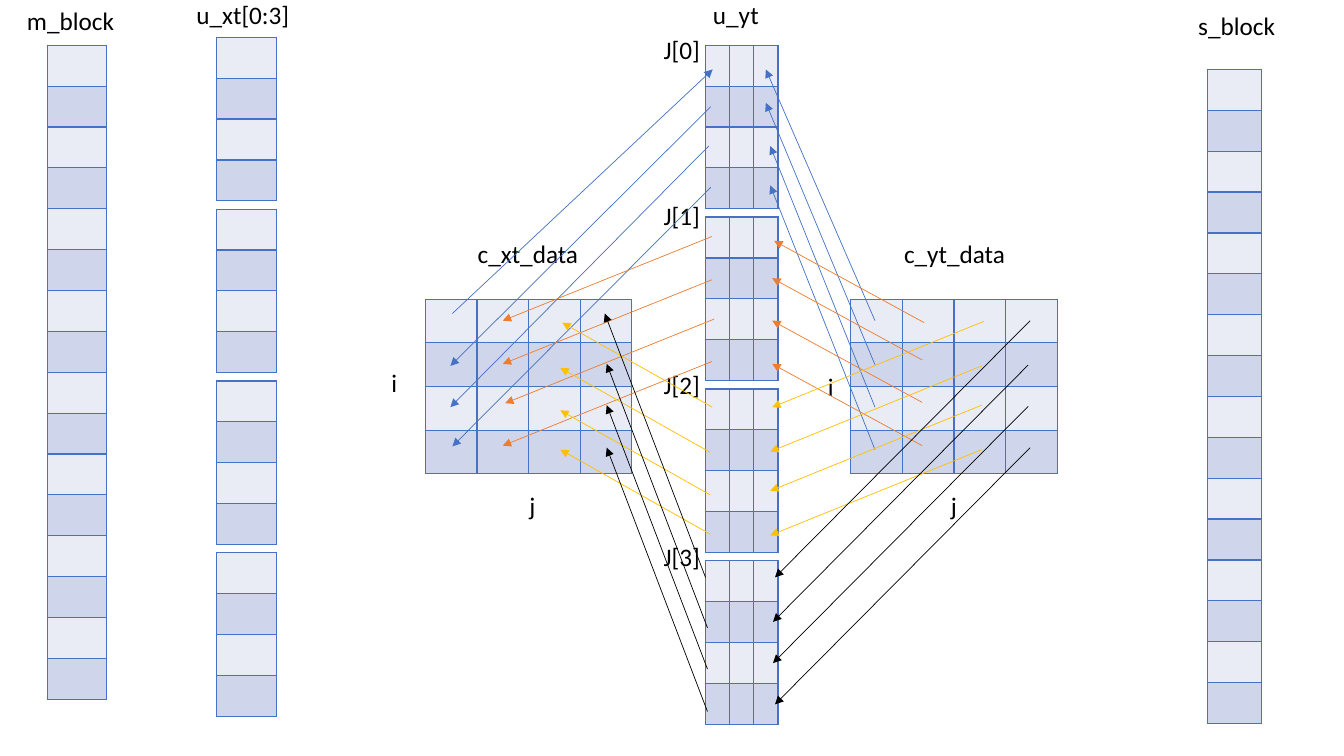
from lxml.etree import SubElement
from pptx import Presentation
from pptx.dml.color import RGBColor
from pptx.enum.shapes import MSO_CONNECTOR
from pptx.enum.text import MSO_AUTO_SIZE, PP_ALIGN
from pptx.oxml import parse_xml
from pptx.oxml.ns import nsdecls, qn
from pptx.util import Cm, Pt

BLUE, ORANGE, YELLOW, BLACK = "4472C4", "ED7D31", "FFC000", "000000"


def colour(value):
    return RGBColor.from_string(value)


def write(frame, text, size=18, font="Calibri", fill=BLACK, align=PP_ALIGN.CENTER):
    para = frame.paragraphs[0]
    para.alignment = align
    span = para.add_run()
    span.text = text
    span.font.size = Pt(size)
    span.font.name = font
    span.font.color.rgb = colour(fill)


def shifted(points, right, down):
    return [(x + right, y + down) for x, y in points]


class Diagram:
    bands = ("E9EBF5", "CFD5EA")
    border = BLUE

    def __init__(self, page):
        self.page = page

    def grid(self, left, top, rows, columns, width, height=1.03):
        """Add a banded table; width and height are those of one cell."""
        frame = self.page.shapes.add_table(
            rows, columns, Cm(left), Cm(top), Cm(width * columns), Cm(height * rows))
        table = frame.table
        table.first_row = table.horz_banding = False
        for column in table.columns:
            column.width = Cm(width)
        for index, row in enumerate(table.rows):
            row.height = Cm(height)
            for cell in row.cells:
                cell.fill.solid()
                cell.fill.fore_color.rgb = colour(self.bands[index % 2])
                self.outline(cell)

    def outline(self, cell):
        properties = cell._tc.get_or_add_tcPr()
        for position, side in enumerate("LRTB"):
            properties.insert(position, parse_xml(
                f'<a:ln{side} {nsdecls("a")} w="{Pt(1)}"><a:solidFill>'
                f'<a:srgbClr val="{self.border}"/></a:solidFill></a:ln{side}>'))

    def label(self, text, left, top, width=3.81, **style):
        box = self.page.shapes.add_textbox(Cm(left), Cm(top), Cm(width), Cm(1.03))
        box.text_frame.word_wrap = True
        box.text_frame.auto_size = MSO_AUTO_SIZE.SHAPE_TO_FIT_TEXT
        write(box.text_frame, text, **style)

    def arrow(self, tail, head, shade):
        start, end = [[Cm(value) for value in point] for point in (tail, head)]
        line = self.page.shapes.add_connector(MSO_CONNECTOR.STRAIGHT, *start, *end)
        line.line.color.rgb = colour(shade)
        line.line.width = Pt(0.5)
        SubElement(line.line._get_or_add_ln(), qn("a:tailEnd"), type="triangle")
        SubElement(line._element.spPr, qn("a:effectLst"))

    def bundle(self, shade, heads, tails):
        for head, tail in zip(heads, tails):
            self.arrow(tail, head, shade)


deck = Presentation()
deck.slide_width, deck.slide_height = Cm(33.87), Cm(19.05)
diagram = Diagram(deck.slides.add_slide(deck.slide_layouts[6]))

# Full-height blocks and the two 4 x 4 data tables
diagram.grid(1.19, 1.14, 16, 1, 1.5)
diagram.grid(30.43, 1.75, 16, 1, 1.37)
for left in (10.72, 21.44):
    diagram.grid(left, 7.54, 4, 4, 1.3, 1.1)

# Four stacked parts of u_xt and u_yt
for part in range(4):
    diagram.grid(5.46, 0.94 + 4.33 * part, 4, 1, 1.5)
    diagram.grid(17.78, 1.14 + 4.33 * part, 4, 3, 0.58)

# Titles
diagram.label("m_block", 0.43, 0, 3.02, align=PP_ALIGN.LEFT)
diagram.label("u_xt[0:3]", 4.7, -0.13, 3.02, align=PP_ALIGN.LEFT)
diagram.label("c_xt_data", 11.4, 5.89)
diagram.label("c_yt_data", 22.15, 5.89)
diagram.label("u_yt", 16.64, -0.13)
diagram.label("s_block", 29.26, 0.13)

# Index labels
for part, top in enumerate((0.74, 4.93, 9.19, 13.51)):
    diagram.label(f"J[{part}]", 16.43, top, 1.5)
for name, left, top in (("i", 9.19, 9.12), ("j", 12.67, 12.22),
                        ("i", 20.19, 9.22), ("j", 23.29, 12.22)):
    diagram.label(name, left, top, 1.5)

# J[0]: the first left arrow runs towards u_yt, the others away from it
diagram.bundle(BLUE,
               [(17.96, 1.75), (11.35, 9.22), (11.35, 10.26), (11.4, 11.25)],
               [(11.4, 7.9), (17.91, 2.69), (17.86, 3.68), (17.91, 4.72)])
diagram.bundle(BLUE,
               [(19.3, 1.75), (19.3, 2.59), (19.41, 3.68), (19.41, 4.67)],
               [(22.05, 8.08), (22.05, 9.19), (22.05, 10.26), (22.05, 11.33)])

# J[1] to J[3]: parallel arrows, given by their heads and one shift to the tails
parallel = [
    (ORANGE, (5.27, -2.12), [(12.67, 8.08), (12.67, 9.17), (12.73, 10.16), (12.67, 11.23)]),
    (ORANGE, (3.78, 2.06), [(19.51, 6.07), (19.46, 7.01), (19.46, 8.08), (19.46, 9.17)]),
    (YELLOW, (3.78, 2.13), [(14.17, 8.13), (14.12, 9.27), (14.12, 10.34), (14.12, 11.33)]),
    (YELLOW, (5.33, -2.16), [(19.46, 10.26), (19.41, 11.38), (19.41, 12.37), (19.41, 13.49)]),
    (BLACK, (2.54, 6.65), [(15.24, 7.9), (15.29, 9.17), (15.29, 10.21), (15.29, 11.28)]),
    (BLACK, (6.43, -6.47), [(19.53, 14.55), (19.48, 15.67), (19.48, 16.71), (19.53, 17.75)]),
]
for shade, shift, heads in parallel:
    diagram.bundle(shade, heads, shifted(heads, *shift))

deck.save("out.pptx")
